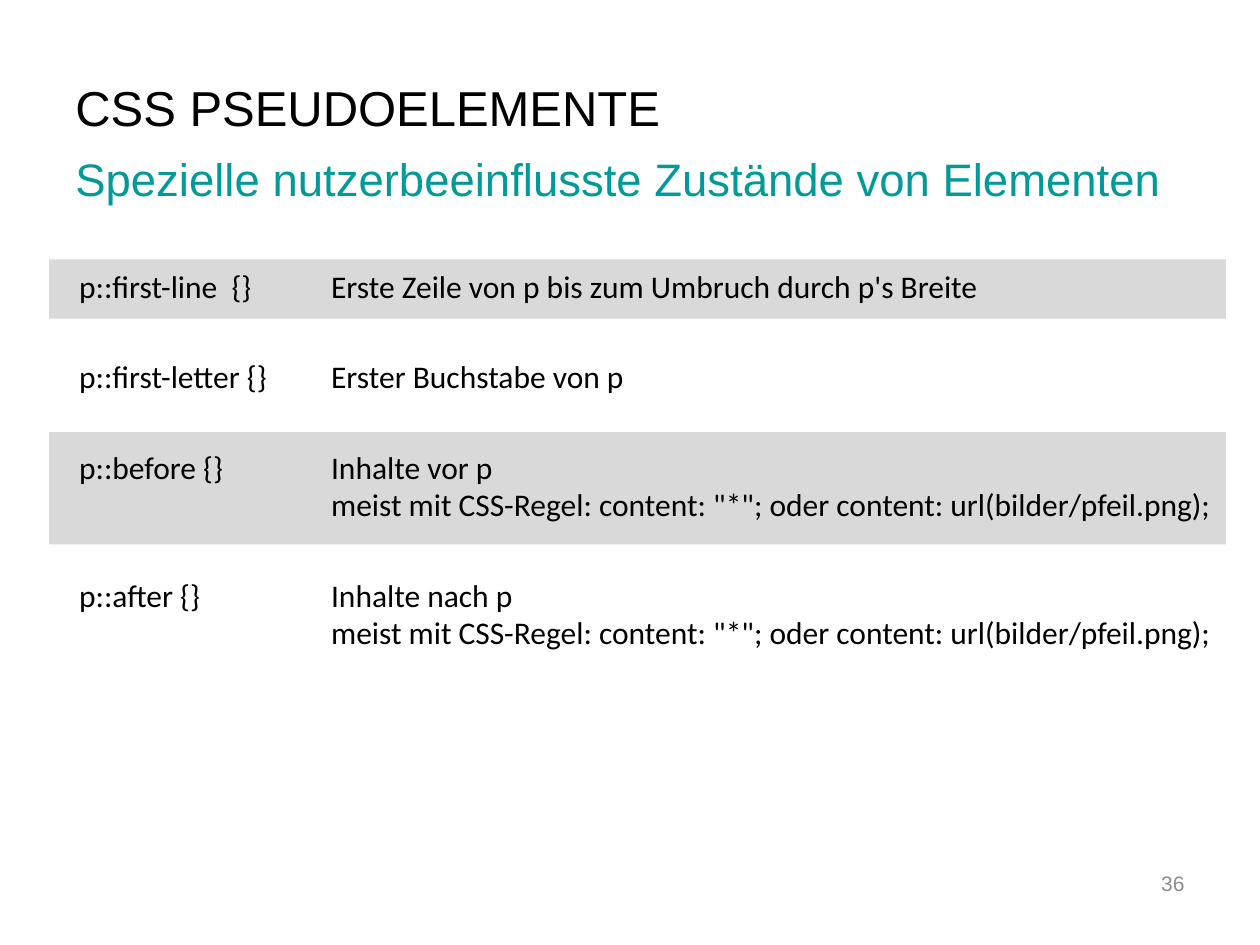
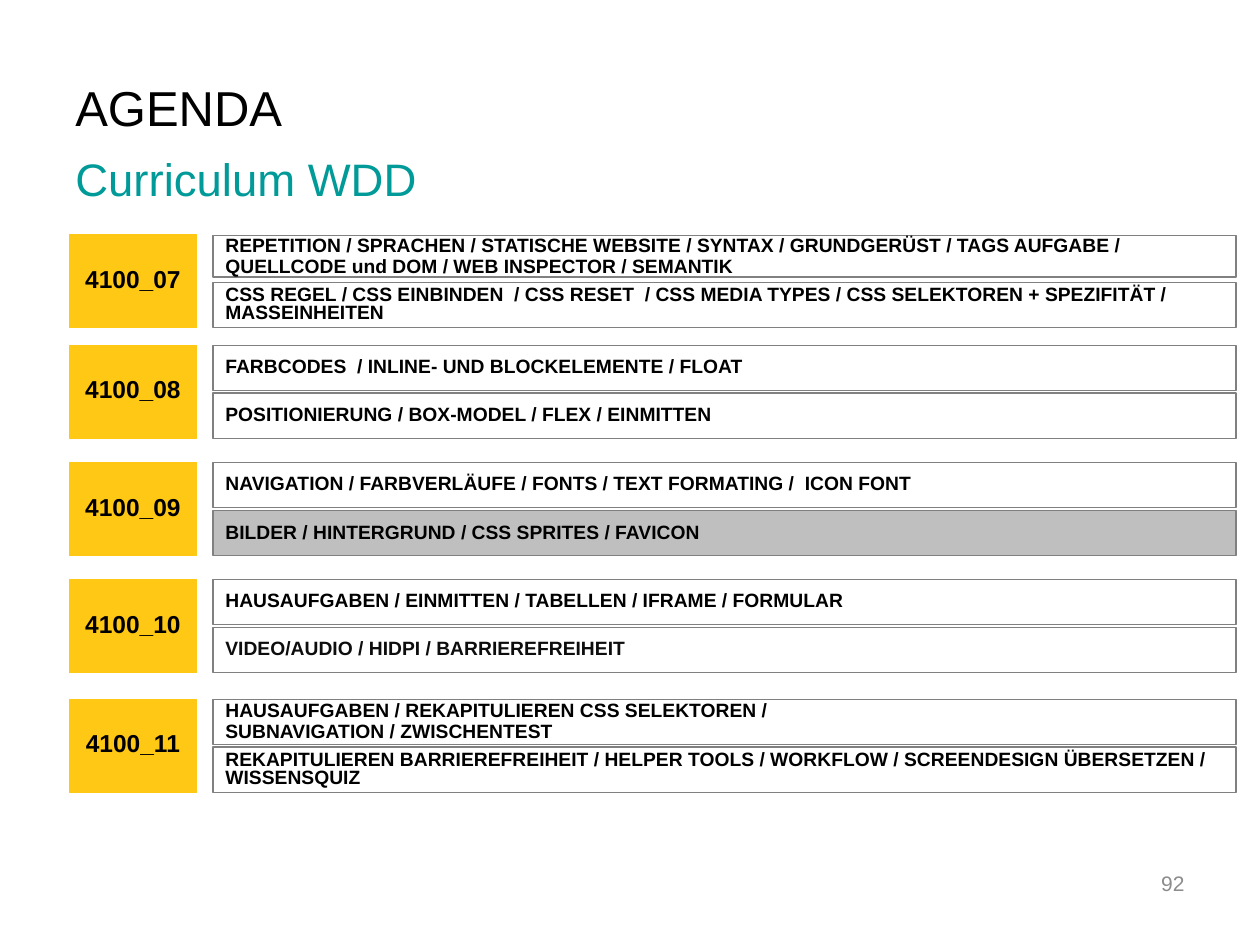
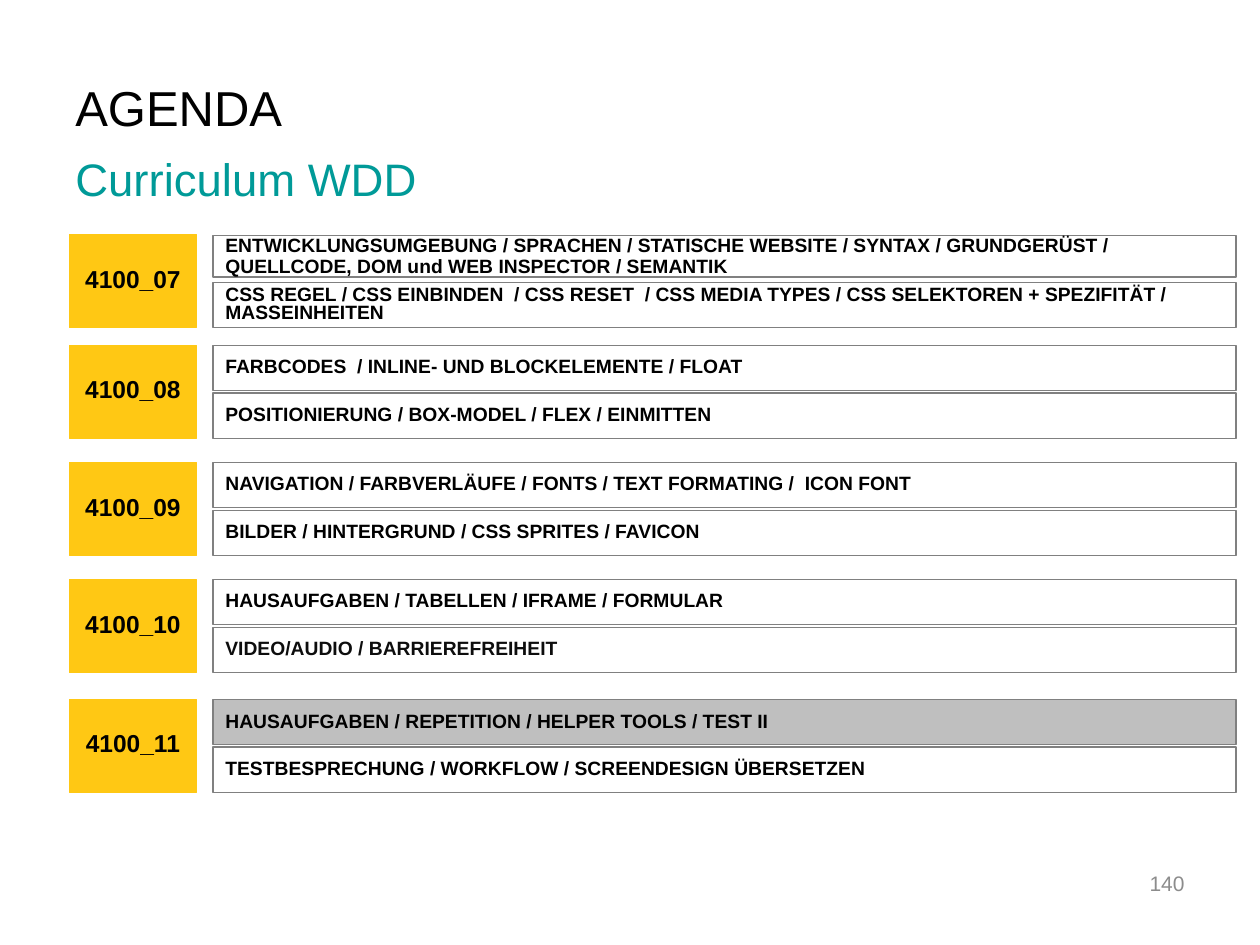
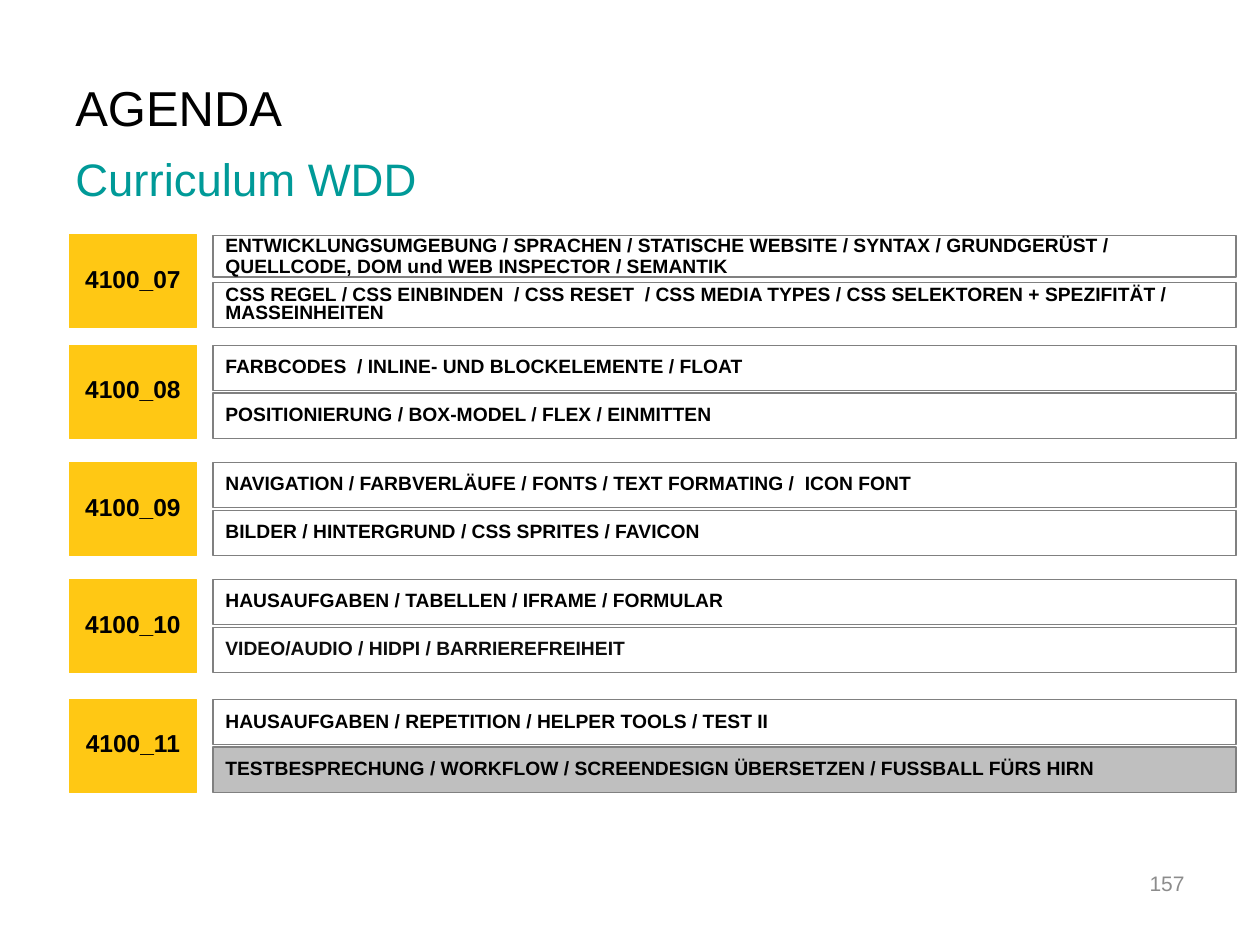
from pptx import Presentation
from pptx.dml.color import RGBColor
from pptx.enum.shapes import MSO_SHAPE
from pptx.enum.text import MSO_ANCHOR, PP_ALIGN
from pptx.util import Inches, Pt
from lxml.etree import SubElement
from pptx.oxml.ns import qn

BLACK, SOFT_BLACK, WHITE = "000000", "0D0D0D", "FFFFFF"
TEAL, YELLOW = "009A98", "FFC814"
BAND_GRAY, ACTIVE_GRAY, LINE_GRAY, NUMBER_GRAY = "D9D9D9", "BFBFBF", "808080", "8C8C8C"


def add_rectangle(page, left, top, width, height, fill, line=None):
    box = page.shapes.add_shape(MSO_SHAPE.RECTANGLE, Inches(left), Inches(top),
                                Inches(width), Inches(height))
    box.shadow.inherit = False
    box.fill.solid()
    box.fill.fore_color.rgb = RGBColor.from_string(fill)
    if line:
        box.line.color.rgb = RGBColor.from_string(line)
        box.line.width = Pt(0.75)
    else:
        box.line.fill.background()
    return box


def write_text(box, text, size, color, bold=False, font="Arial", align=PP_ALIGN.LEFT,
               anchor=MSO_ANCHOR.MIDDLE, line_spacing=None, space_after=None):
    frame = box.text_frame
    frame.word_wrap = True
    frame.vertical_anchor = anchor
    frame.text = text
    for para in frame.paragraphs:
        para.alignment = align
        para.line_spacing = line_spacing
        para.space_after = space_after
        for span in para.runs:
            span.font.name = font
            span.font.size = Pt(size)
            span.font.bold = bold
            span.font.color.rgb = RGBColor.from_string(color)


deck = Presentation()
deck.slide_width, deck.slide_height = Inches(10), Inches(7.5)

headings = [
    ("CSS PSEUDOELEMENTE", "Spezielle nutzerbeeinflusste Zustände von Elementen", "36"),
    ("AGENDA", "Curriculum WDD", "92"),
    ("AGENDA", "Curriculum WDD", "140"),
    ("AGENDA", "Curriculum WDD", "157"),
]
pages = []
for title, subtitle, number in headings:
    page = deck.slides.add_slide(deck.slide_layouts[6])
    pages.append(page)
    title_box = page.shapes.add_textbox(Inches(0.5), Inches(0.56), Inches(8.16), Inches(0.57))
    write_text(title_box, title, 28, BLACK)
    subtitle_box = page.shapes.add_textbox(Inches(0.5), Inches(1.15), Inches(9.5), Inches(0.54))
    write_text(subtitle_box, subtitle, 26, TEAL, anchor=MSO_ANCHOR.TOP)
    number_box = page.shapes.add_textbox(Inches(8.83), Inches(6.81), Inches(0.67), Inches(0.4))
    write_text(number_box, number, 12, NUMBER_GRAY, align=PP_ALIGN.RIGHT)

pseudo_page, *agenda_pages = pages

for band_top, band_height in [(2.06, 0.47), (3.43, 0.89)]:
    add_rectangle(pseudo_page, 0.39, band_top, 9.34, band_height, BAND_GRAY)

content_rule = 'meist mit CSS-Regel: content: "*"; oder content: url(bilder/pfeil.png);'
pseudo_elements = [
    ("p::first-line  {}", "Erste Zeile von p bis zum Umbruch durch p's Breite"),
    ("p::first-letter {}", "Erster Buchstabe von p"),
    ("p::before {}", f"Inhalte vor p\v\t{content_rule}"),
    ("p::after {}", f"Inhalte nach p\v\t{content_rule}"),
]
pseudo_box = pseudo_page.shapes.add_textbox(Inches(0.53), Inches(2.07), Inches(9.83), Inches(4.63))
write_text(pseudo_box, "\n".join(f"{selector}\t{meaning}" for selector, meaning in pseudo_elements),
           18, BLACK, font="Calibri", anchor=MSO_ANCHOR.TOP, space_after=Pt(30))
for para in pseudo_box.text_frame.paragraphs:
    tab_list = SubElement(para._p.get_or_add_pPr(), qn("a:tabLst"))
    SubElement(tab_list, qn("a:tab"), pos=str(Inches(2)), algn="l")

css_basics = ("CSS REGEL / CSS EINBINDEN  / CSS RESET  / CSS MEDIA TYPES / "
              "CSS SELEKTOREN + SPEZIFITÄT / MASSEINHEITEN")
shared_topics = [
    "FARBCODES  / INLINE- UND BLOCKELEMENTE / FLOAT",
    "POSITIONIERUNG / BOX-MODEL / FLEX / EINMITTEN",
    "NAVIGATION / FARBVERLÄUFE / FONTS / TEXT FORMATING /  ICON FONT",
    "BILDER / HINTERGRUND / CSS SPRITES / FAVICON",
]
environment = ("ENTWICKLUNGSUMGEBUNG / SPRACHEN / STATISCHE WEBSITE / SYNTAX / GRUNDGERÜST / "
               "QUELLCODE, DOM und WEB INSPECTOR / SEMANTIK")
repetition = ("REPETITION / SPRACHEN / STATISCHE WEBSITE / SYNTAX / GRUNDGERÜST / TAGS AUFGABE / "
              "QUELLCODE und DOM / WEB INSPECTOR / SEMANTIK")
forms = "HAUSAUFGABEN / TABELLEN / IFRAME / FORMULAR"
video = "VIDEO/AUDIO / HIDPI / BARRIEREFREIHEIT"
second_test = "HAUSAUFGABEN / REPETITION / HELPER TOOLS / TEST II"
review = "TESTBESPRECHUNG / WORKFLOW / SCREENDESIGN ÜBERSETZEN"

agendas = [
    (5, [repetition, css_basics, *shared_topics,
         "HAUSAUFGABEN / EINMITTEN / TABELLEN / IFRAME / FORMULAR", video,
         "HAUSAUFGABEN / REKAPITULIEREN CSS SELEKTOREN /\vSUBNAVIGATION / ZWISCHENTEST",
         "REKAPITULIEREN BARRIEREFREIHEIT / HELPER TOOLS / WORKFLOW / "
         "SCREENDESIGN ÜBERSETZEN / WISSENSQUIZ"]),
    (8, [environment, css_basics, *shared_topics, forms,
         "VIDEO/AUDIO / BARRIEREFREIHEIT", second_test, review]),
    (9, [environment, css_basics, *shared_topics, forms, video, second_test,
         f"{review} / FUSSBALL FÜRS HIRN"]),
]
days = [("4100_07", 1.86), ("4100_08", 2.74), ("4100_09", 3.67), ("4100_10", 4.6), ("4100_11", 5.55)]

for page, (active, topics) in zip(agenda_pages, agendas):
    for day_index, (day, top) in enumerate(days):
        badge = add_rectangle(page, 0.55, top, 1.01, 0.74, YELLOW, YELLOW)
        write_text(badge, day, 14, BLACK, bold=True, align=PP_ALIGN.CENTER,
                   line_spacing=0.8, space_after=Pt(6))
        for half in range(2):
            topic_index = 2 * day_index + half
            bar_top, bar_height = (1.87, 0.33) if topic_index == 0 else (top + 0.38 * half, 0.36)
            is_loose = topic_index in (0, 8) or topic_index == active == 5
            bar = add_rectangle(page, 1.69, bar_top, 8.12, bar_height,
                                ACTIVE_GRAY if topic_index == active else WHITE, LINE_GRAY)
            write_text(bar, topics[topic_index], 11, SOFT_BLACK if topic_index == 7 else BLACK,
                       bold=True, line_spacing=0.9 if is_loose else 0.8, space_after=Pt(6))

deck.save("out.pptx")
